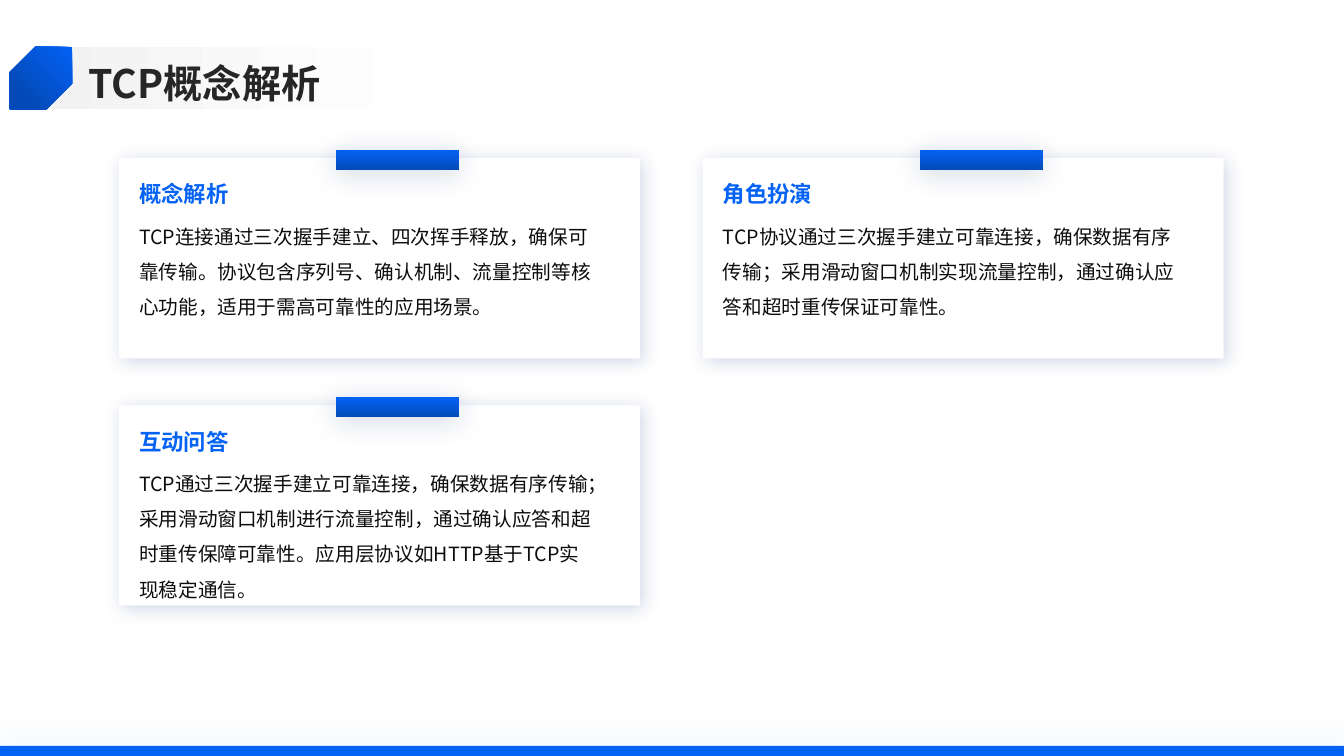
from lxml import etree
from pptx import Presentation
from pptx.dml.color import RGBColor
from pptx.enum.shapes import MSO_SHAPE
from pptx.enum.text import MSO_ANCHOR, MSO_AUTO_SIZE, PP_ALIGN
from pptx.oxml.ns import qn
from pptx.util import Pt

RECT = MSO_SHAPE.RECTANGLE
SNIPPED = MSO_SHAPE.SNIP_2_DIAG_RECTANGLE
TOP, MIDDLE = MSO_ANCHOR.TOP, MSO_ANCHOR.MIDDLE
LEFT = PP_ALIGN.LEFT
NO_AUTOFIT = MSO_AUTO_SIZE.NONE

BLUE = RGBColor(0x04, 0x62, 0xF5)
DEEP_BLUE = RGBColor(0x03, 0x4A, 0xB8)
SHADOW_BLUE = RGBColor(0x02, 0x31, 0x7B)
WHITE = RGBColor(0xFF, 0xFF, 0xFF)
PALE_GREY = RGBColor(0xF2, 0xF2, 0xF2)
TITLE_GREY = RGBColor(0x26, 0x26, 0x26)
INK = RGBColor(0x0D, 0x0D, 0x0D)
FONT = "Noto Sans CJK SC"

TITLE_FORMAT = {"size": Pt(28), "bold": True, "name": FONT}
HEADING_FORMAT = {"size": Pt(16), "bold": True, "name": FONT}
BODY_FORMAT = {"size": Pt(14), "bold": False, "name": FONT}

prs = Presentation()
prs.slide_width, prs.slide_height = Pt(960), Pt(540)
slide = prs.slides.add_slide(prs.slide_layouts[5])


def add_panel(box, colors, angle=0, end=1, shadow=None, kind=RECT):
    """Borderless shape; two colors make a gradient, shadow is (color, alpha %, blur, distance, angle)."""
    panel = slide.shapes.add_shape(kind, *map(Pt, box))
    panel.line.fill.background()
    panel.shadow.inherit = False
    if len(colors) == 1:
        panel.fill.solid()
        panel.fill.fore_color.rgb = colors[0]
    else:
        panel.fill.gradient()
        panel.fill.gradient_angle = -angle % 360
        for stop, color, position in zip(panel.fill.gradient_stops, colors, (0, end)):
            stop.color.rgb = color
            stop.position = position
    if shadow:
        color, alpha, blur, distance, direction = shadow
        effects = panel._element.spPr.find(qn("a:effectLst"))
        outer = etree.SubElement(effects, qn("a:outerShdw"), blurRad=str(Pt(blur)), dist=str(Pt(distance)),
                                 dir=str(direction * 60000), algn="ctr", rotWithShape="0")
        tint = etree.SubElement(outer, qn("a:srgbClr"), val=str(color))
        etree.SubElement(tint, qn("a:alpha"), val=str(alpha * 1000))
    return panel


def write_text(holder, box, text, formats, color, spacing=1.0, anchor=TOP):
    holder.left, holder.top, holder.width, holder.height = map(Pt, box)
    frame = holder.text_frame
    frame.margin_left = frame.margin_top = frame.margin_right = frame.margin_bottom = 0
    frame.word_wrap = True
    frame.auto_size = NO_AUTOFIT
    frame.vertical_anchor = anchor
    paragraph = frame.paragraphs[0]
    paragraph.alignment = LEFT
    paragraph.line_spacing = spacing
    run = paragraph.add_run()
    run.text = text
    for attribute, value in formats.items():
        setattr(run.font, attribute, value)
    run.font.color.rgb = color
    etree.SubElement(run._r.get_or_add_rPr(), qn("a:ea"), typeface=FONT)


# Footer bar
add_panel((0, 532.8, 960, 7.2), [BLUE], shadow=(BLUE, 20, 25, 0, 0))

# Cards: column, row, heading, body
cards = [
    (0, 0, "概念解析", "TCP连接通过三次握手建立、四次挥手释放，确保可靠传输。"
     "协议包含序列号、确认机制、流量控制等核心功能，适用于需高可靠性的应用场景。"),
    (0, 1, "互动问答", "TCP通过三次握手建立可靠连接，确保数据有序传输；采用滑动窗口机制进行流量控制，"
     "通过确认应答和超时重传保障可靠性。应用层协议如HTTP基于TCP实现稳定通信。"),
    (1, 0, "角色扮演", "TCP协议通过三次握手建立可靠连接，确保数据有序传输；"
     "采用滑动窗口机制实现流量控制，通过确认应答和超时重传保证可靠性。"),
]
for column, row, heading, body in cards:
    x, y = 85 + column * 417, 113 + row * 176.5
    add_panel((x, y, 372, 143), [WHITE], shadow=(SHADOW_BLUE, 19, 13, 3, 45))
    add_panel((x + 155, y - 6, 88, 14.5), [BLUE, DEEP_BLUE], angle=90, shadow=(SHADOW_BLUE, 19, 20, 3, 90))
    for text, offset, height, formats, color, spacing in (
            (heading, 16, 26, HEADING_FORMAT, BLUE, 1.0),
            (body, 39, 95, BODY_FORMAT, INK, 1.5)):
        box = (x + 14.4, y + offset, 328.3, height)
        write_text(slide.shapes.add_textbox(*map(Pt, box)), box, text, formats, color, spacing)

# Title band, title and corner badge
add_panel((24, 33.3, 354, 44.6), [PALE_GREY, WHITE], end=0.8)
title = slide.shapes.title
write_text(title, (63.4, 39, 855, 36.7), "TCP概念解析", TITLE_FORMAT, TITLE_GREY, 1.1, MIDDLE)
badge = add_panel((7, 33.3, 44.6, 44.6), [BLUE, DEEP_BLUE], angle=45, end=0.8, kind=SNIPPED)
badge.adjustments[0], badge.adjustments[1] = 0, 0.41
badge._element.spPr.find(qn("a:xfrm")).set("flipH", "1")
badge._element.addprevious(title._element)

prs.save("out.pptx")
